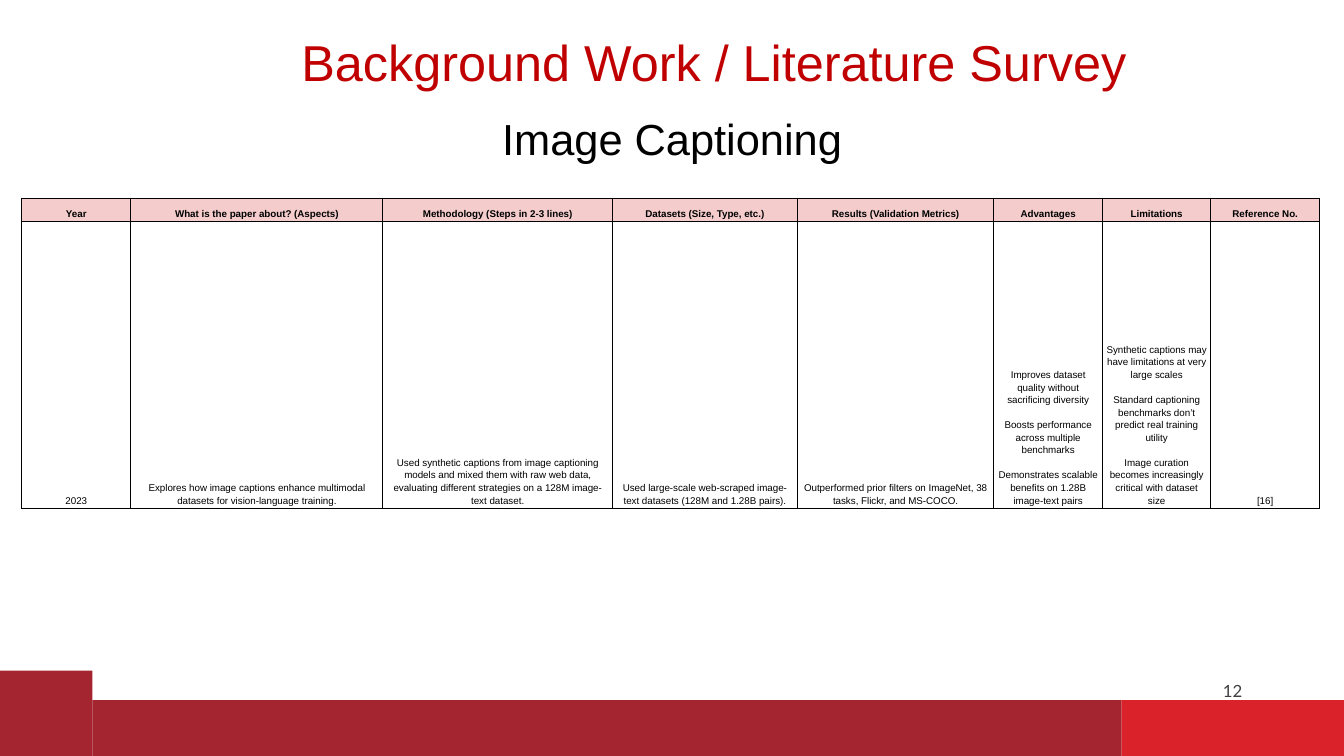
from collections import namedtuple
from dataclasses import dataclass

from lxml.etree import SubElement
from pptx import Presentation
from pptx.dml.color import RGBColor as Rgb
from pptx.enum.shapes import MSO_SHAPE as Preset
from pptx.enum.text import MSO_ANCHOR as Anchor, PP_ALIGN as Align
from pptx.oxml.ns import qn
from pptx.util import Pt

Box = namedtuple("Box", "left top width height")


@dataclass(frozen=True)
class Theme:
    heading_font: str = "Arial"
    number_font: str = "Lato"
    title_color: str = "C00000"
    text_color: str = "000000"
    number_color: str = "3F3F3F"
    header_fill: str = "F4CCCC"
    footer_dark: str = "A42530"
    footer_bright: str = "D9222A"
    border_color: str = "000000"
    border_width: float = 0.75
    title_size: float = 36
    subtitle_size: float = 31
    number_size: float = 12
    table_size: float = 7
    paragraph_gap: float = 9


THEME = Theme()

COLUMN_WIDTHS = [78, 180, 164, 132, 140.5, 77.5, 77.5, 77.5]
ROW_HEIGHTS = [16.5, 205]
HEADINGS = [
    "Year",
    "What is the paper about? (Aspects)",
    "Methodology (Steps in 2-3 lines)",
    "Datasets (Size, Type, etc.)",
    "Results (Validation Metrics)",
    "Advantages",
    "Limitations",
    "Reference No.",
]
PAPER = [
    ["2023"],
    ["Explores how image captions enhance multimodal datasets for vision-language training."],
    ["Used synthetic captions from image captioning models and mixed them with raw web data, "
     "evaluating different strategies on a 128M image-text dataset."],
    ["Used large-scale web-scraped image-text datasets (128M and 1.28B pairs)."],
    ["Outperformed prior filters on ImageNet, 38 tasks, Flickr, and MS-COCO."],
    ["Improves dataset quality without sacrificing diversity",
     "Boosts performance across multiple benchmarks",
     "Demonstrates scalable benefits on 1.28B image-text pairs"],
    ["Synthetic captions may have limitations at very large scales",
     "Standard captioning benchmarks don’t predict real training utility",
     "Image curation becomes increasingly critical with dataset size"],
    ["[16]"],
]


def style_paragraph(paragraph, font_name, size, color, bold=False, spacing=1.0):
    paragraph.alignment = Align.CENTER
    paragraph.line_spacing = spacing
    font = paragraph.font
    for target in [font] + [run.font for run in paragraph.runs]:
        target.name = font_name
        target.size = Pt(size)
        target.bold = bold
        target.color.rgb = Rgb.from_string(color)


def add_line_of_text(slide, box, words, font_name, size, color, spacing=1.0):
    frame = slide.shapes.add_textbox(*map(Pt, box)).text_frame
    frame.word_wrap = True
    frame.vertical_anchor = Anchor.MIDDLE
    frame.text = words
    style_paragraph(frame.paragraphs[0], font_name, size, color, spacing=spacing)


def add_footer(slide, box):
    corner_width, accent_width, band_height = 66, 159, 40
    band_top = box.top + box.height - band_height
    accent_left = box.left + box.width - accent_width
    band_left = box.left + corner_width
    blocks = [
        (Box(box.left, box.top, corner_width, box.height), THEME.footer_dark),
        (Box(accent_left, band_top, accent_width, band_height), THEME.footer_bright),
        (Box(band_left, band_top, accent_left - band_left, band_height), THEME.footer_dark),
    ]
    for place, color in blocks:
        block = slide.shapes.add_shape(Preset.RECTANGLE, *map(Pt, place))
        block.shadow.inherit = False
        block.fill.solid()
        block.fill.fore_color.rgb = Rgb.from_string(color)
        block.line.fill.background()
    add_line_of_text(slide, Box(accent_left, box.top - 5, accent_width, 39), "12",
                     THEME.number_font, THEME.number_size, THEME.number_color)


def add_headings(slide, box):
    add_line_of_text(slide, Box(box.left + 196.5, box.top, 627, 65),
                     "Background Work / Literature Survey", THEME.heading_font,
                     THEME.title_size, THEME.title_color, spacing=0.9)
    subtitle_width = 300
    add_line_of_text(slide, Box(box.left + (box.width - subtitle_width) / 2, box.top + 65,
                                subtitle_width, 39),
                     "Image Captioning", THEME.heading_font,
                     THEME.subtitle_size, THEME.text_color)


def add_borders(cell):
    properties = cell._tc.get_or_add_tcPr()
    for side in ("a:lnL", "a:lnR", "a:lnT", "a:lnB"):
        border = SubElement(properties, qn(side), w=str(Pt(THEME.border_width)))
        fill = SubElement(border, qn("a:solidFill"))
        SubElement(fill, qn("a:srgbClr"), val=THEME.border_color)


def fill_cell(cell, entries, is_header):
    cell.margin_left = cell.margin_right = Pt(2.25)
    cell.margin_top = cell.margin_bottom = Pt(1.5)
    cell.vertical_anchor = Anchor.BOTTOM
    add_borders(cell)
    if is_header:
        cell.fill.solid()
        cell.fill.fore_color.rgb = Rgb.from_string(THEME.header_fill)
    else:
        cell.fill.background()
    cell.text_frame.text = "\n".join(entries)
    for position, paragraph in enumerate(cell.text_frame.paragraphs):
        style_paragraph(paragraph, THEME.heading_font, THEME.table_size,
                        THEME.text_color, bold=is_header, spacing=1.15)
        if position:
            paragraph.space_before = Pt(THEME.paragraph_gap)


def add_survey_table(slide, box):
    rows = [[[heading] for heading in HEADINGS], PAPER]
    survey = slide.shapes.add_table(len(rows), len(HEADINGS), *map(Pt, box)).table
    survey.horz_banding = False
    for column, width in zip(survey.columns, COLUMN_WIDTHS):
        column.width = Pt(width)
    for row, height, contents in zip(survey.rows, ROW_HEIGHTS, rows):
        row.height = Pt(height)
        for cell, entries in zip(row.cells, contents):
            fill_cell(cell, entries, is_header=contents is rows[0])


def main():
    deck = Presentation()
    deck.slide_width, deck.slide_height = Pt(960), Pt(540)
    slide = deck.slides.add_slide(deck.slide_layouts[6])
    add_footer(slide, Box(0, 479, 960, 61))
    add_headings(slide, Box(0, 14, 960, 104))
    add_survey_table(slide, Box(15.5, 141.5, sum(COLUMN_WIDTHS), sum(ROW_HEIGHTS)))
    deck.save("out.pptx")


if __name__ == "__main__":
    main()
